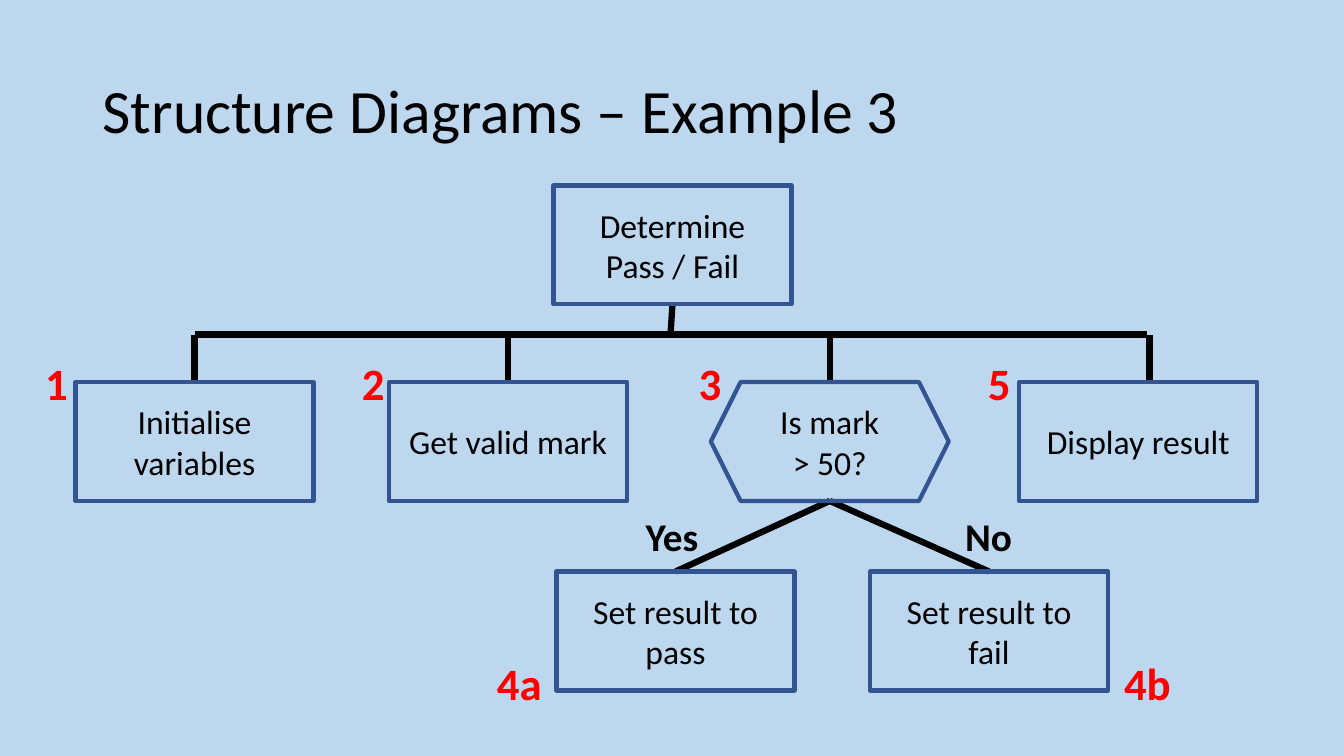
from pptx import Presentation
from pptx.dml.color import RGBColor
from pptx.enum.shapes import MSO_CONNECTOR as Link, MSO_SHAPE as Kind
from pptx.enum.text import MSO_ANCHOR as Anchor, PP_ALIGN as Align
from pptx.oxml.ns import qn
from pptx.util import Inches, Pt
from lxml.etree import SubElement

SKY = RGBColor(0xBD, 0xD7, 0xEE)
NAVY = RGBColor(0x32, 0x54, 0x91)
BLACK = RGBColor(0, 0, 0)
RED = RGBColor(0xFF, 0, 0)

WIDE, HIGH = 2.36, 1.18    # every box
ROWS = 1.84, 3.79, 5.67    # tops of the three levels
BAR = 3.32                 # height of the shared bar
FORK = 8.23                # middle of the decision

deck = Presentation()
deck.slide_width, deck.slide_height = Inches(13.33), Inches(7.5)
slide = deck.slides.add_slide(deck.slide_layouts[6])
slide.background.fill.solid()
slide.background.fill.fore_color.rgb = SKY
shapes = slide.shapes


def write(frame, lines, size, color=BLACK, bold=False, align=Align.CENTER):
    for i, line in enumerate(lines):
        para = frame.paragraphs[0] if i == 0 else frame.add_paragraph()
        para.alignment = align
        run = para.add_run()
        run.text = line
        font = run.font
        font.name, font.size, font.bold = "Calibri", Pt(size), bold
        font.color.rgb = color


def link(x1, y1, x2, y2):
    """Draw a thick black line behind the boxes."""
    line = shapes.add_connector(
        Link.STRAIGHT, Inches(x1), Inches(y1), Inches(x2), Inches(y2))
    line.line.color.rgb = BLACK
    line.line.width = Pt(4.5)
    SubElement(line._element.spPr, qn("a:effectLst"))
    shapes._spTree.insert(2, line._element)
    return line


# Title
title = shapes.add_textbox(Inches(0.92), Inches(0.4), Inches(11.5), Inches(1.45))
frame = title.text_frame
frame.word_wrap = True
frame.vertical_anchor = Anchor.MIDDLE
write(frame, ["Structure Diagrams – Example 3"], 44, align=Align.LEFT)
frame.paragraphs[0].line_spacing = 0.9

# Boxes: name, left, level, kind, lines
steps = [
    ("top", 5.49, 0, Kind.RECTANGLE, ["Determine", "Pass / Fail"]),
    ("init", 0.75, 1, Kind.RECTANGLE, ["Initialise variables"]),
    ("get", 3.86, 1, Kind.RECTANGLE, ["Get valid mark"]),
    ("test", 7.05, 1, Kind.HEXAGON, ["Is mark", "> 50?"]),
    ("show", 10.11, 1, Kind.RECTANGLE, ["Display result"]),
    ("pass", 5.52, 2, Kind.RECTANGLE, ["Set result to pass"]),
    ("fail", 8.63, 2, Kind.RECTANGLE, ["Set result to", "fail"]),
]
boxes = {}
for name, left, level, kind, lines in steps:
    box = shapes.add_shape(
        kind, Inches(left), Inches(ROWS[level]), Inches(WIDE), Inches(HIGH))
    box.shadow.inherit = False
    box.fill.background()
    box.line.color.rgb = NAVY
    box.line.width = Pt(3)
    box.text_frame.word_wrap = True
    box.text_frame.vertical_anchor = Anchor.MIDDLE
    write(box.text_frame, lines, 24)
    boxes[name] = box

# Bar, with a stub to each box
link(1.93, BAR, 11.38, BAR)
stem = link(6.65, BAR, 6.65, ROWS[0] + HIGH)
stem.end_connect(boxes["top"], 2)
for x, name in [(1.93, "init"), (5.04, "get"), (FORK, None), (11.4, None)]:
    stub = link(x, BAR, x, ROWS[1])
    if name:
        stub.end_connect(boxes[name], 0)

# Branches of the decision
for x, name in [(6.7, "pass"), (9.81, "fail")]:
    link(FORK, ROWS[1] + HIGH, x, ROWS[2]).end_connect(boxes[name], 0)

# Labels: text, left, top, width, size, colour, alignment
labels = [
    ("Yes", 6.3, 5.03, 0.73, 28, BLACK, Align.CENTER),
    ("No", 9.47, 5.03, 0.67, 28, BLACK, Align.CENTER),
    ("1", 0.35, 3.48, 0.43, 32, RED, Align.LEFT),
    ("2", 3.49, 3.48, 0.43, 32, RED, Align.LEFT),
    ("3", 6.83, 3.48, 0.43, 32, RED, Align.LEFT),
    ("4a", 4.83, 6.46, 0.65, 32, RED, Align.LEFT),
    ("5", 9.7, 3.48, 0.43, 32, RED, Align.LEFT),
    ("4b", 11.05, 6.46, 0.67, 32, RED, Align.LEFT),
]
for text, left, top, width, size, color, align in labels:
    label = shapes.add_textbox(
        Inches(left), Inches(top), Inches(width), Inches(size / 50))
    label.text_frame.word_wrap = False
    write(label.text_frame, [text], size, color, True, align)

deck.save("out.pptx")
